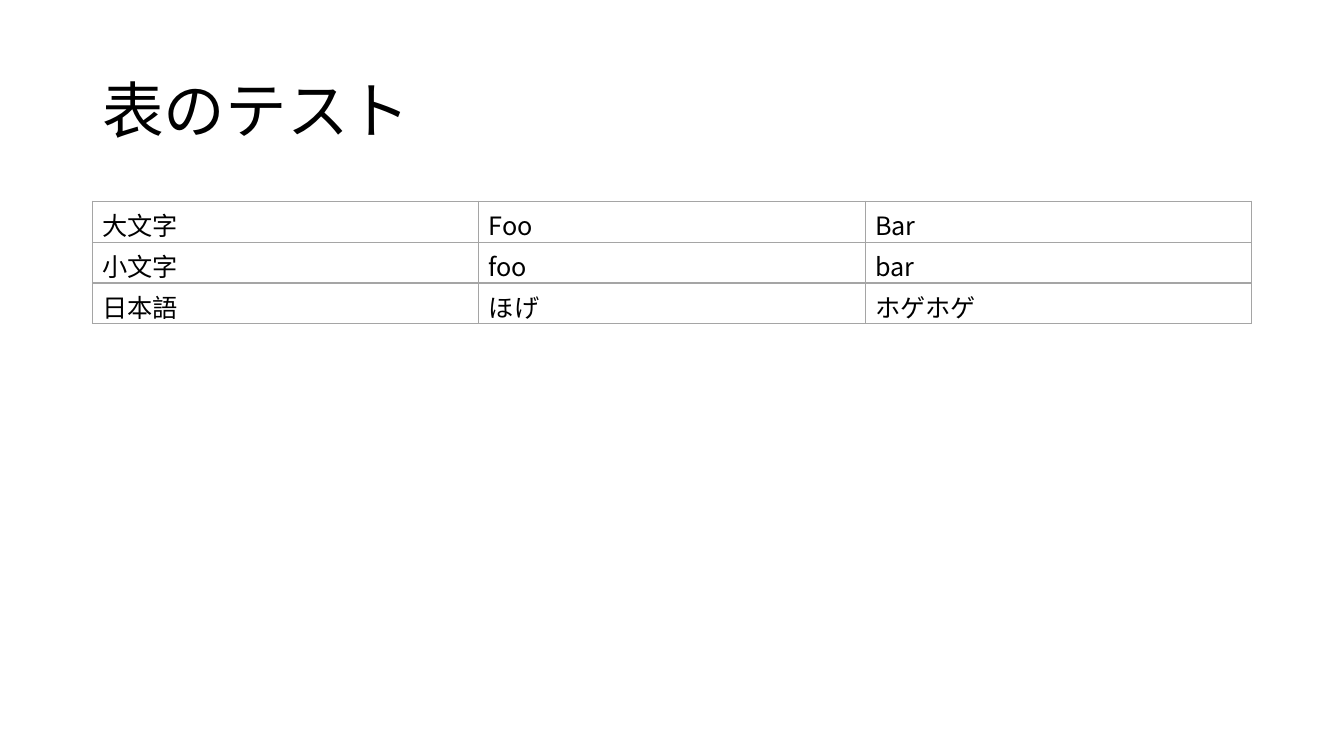
from dataclasses import dataclass

from lxml import etree
from pptx import Presentation
from pptx.dml.color import RGBColor
from pptx.enum.text import MSO_ANCHOR
from pptx.oxml.ns import qn
from pptx.util import Pt

MIDDLE = MSO_ANCHOR.MIDDLE


@dataclass
class Theme:
    font: str = "Noto Sans CJK JP"
    ink: str = "000000"
    rule: str = "A5A5A5"
    title: int = 44
    body: int = 18


theme = Theme()


def add_run(para, text, size):
    run = para.add_run()
    run.text = text
    font = run.font
    font.size = Pt(size)
    font.name = theme.font
    font.color.rgb = RGBColor.from_string(theme.ink)
    east = etree.SubElement(run._r.get_or_add_rPr(), qn("a:ea"))
    east.set("typeface", theme.font)


def add_edges(cell):
    props = cell._tc.get_or_add_tcPr()
    for side in ("lnL", "lnR", "lnT", "lnB"):
        line = etree.SubElement(props, qn(f"a:{side}"), w=str(Pt(1)))
        fill = etree.SubElement(line, qn("a:solidFill"))
        etree.SubElement(fill, qn("a:srgbClr"), val=theme.rule)


deck = Presentation()
deck.slide_width, deck.slide_height = Pt(960), Pt(540)
slide = deck.slides.add_slide(deck.slide_layouts[6])
left, width = 66, 828

# Title
box = slide.shapes.add_textbox(Pt(left), Pt(28.75), Pt(width), Pt(104.4))
frame = box.text_frame
frame.word_wrap = True
frame.vertical_anchor = MIDDLE
para = frame.paragraphs[0]
para.line_spacing = 0.9
add_run(para, "表のテスト", theme.title)

# Table
rows = [
    ("大文字", "Foo", "Bar"),
    ("小文字", "foo", "bar"),
    ("日本語", "ほげ", "ホゲホゲ"),
]
height = 29.2
table = slide.shapes.add_table(
    len(rows), len(rows[0]), Pt(left), Pt(143.75), Pt(width), Pt(height * len(rows))
).table
table.first_row = False
table.horz_banding = False
for r, words in enumerate(rows):
    table.rows[r].height = Pt(height)
    for c, word in enumerate(words):
        cell = table.cell(r, c)
        add_edges(cell)
        cell.fill.background()
        add_run(cell.text_frame.paragraphs[0], word, theme.body)

deck.save("out.pptx")
